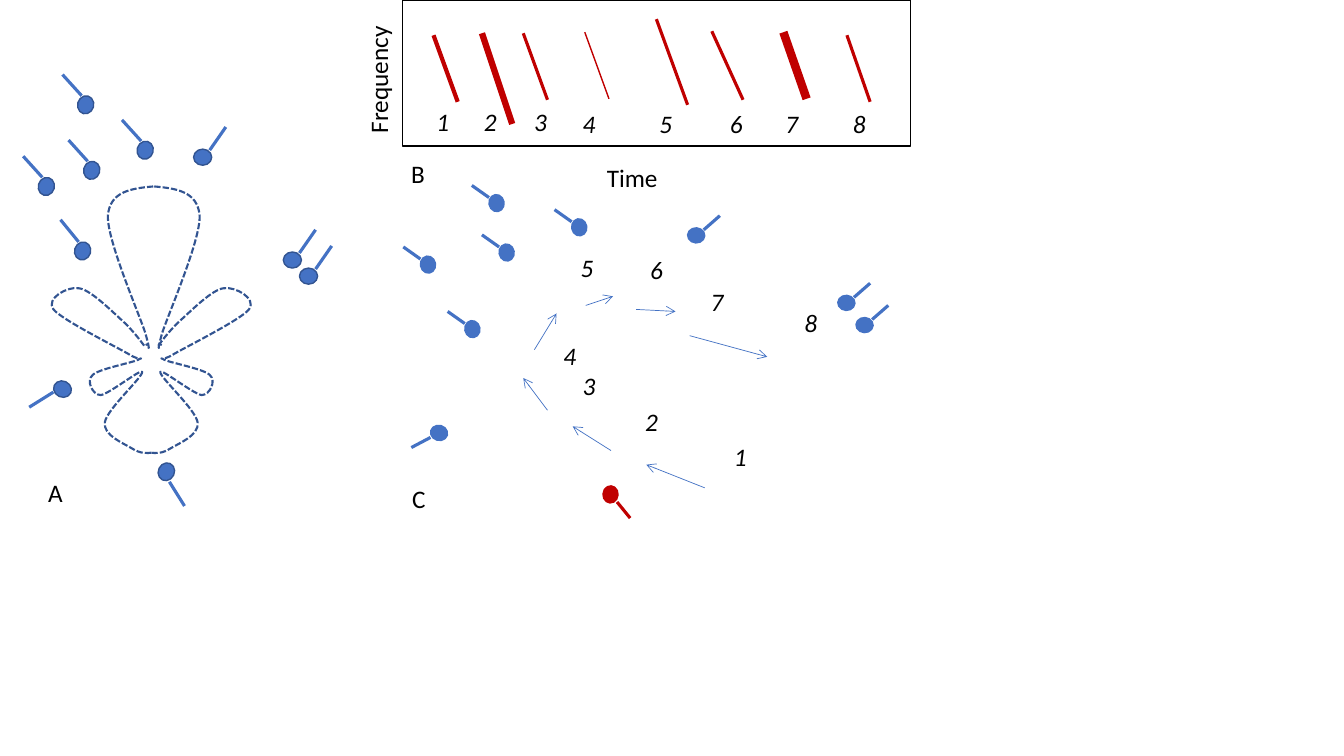
from dataclasses import dataclass

from lxml.etree import SubElement
from pptx import Presentation
from pptx.dml.color import RGBColor
from pptx.enum.dml import MSO_LINE
from pptx.enum.shapes import MSO_CONNECTOR, MSO_SHAPE
from pptx.enum.text import MSO_AUTO_SIZE, PP_ALIGN
from pptx.oxml.ns import qn
from pptx.util import Cm, Pt


@dataclass(frozen=True)
class Theme:
    """Colours, font and sizes used on the slide."""
    blue: RGBColor = RGBColor(0x44, 0x72, 0xC4)
    navy: RGBColor = RGBColor(0x32, 0x54, 0x91)
    red: RGBColor = RGBColor(0xC0, 0x00, 0x00)
    black: RGBColor = RGBColor(0x00, 0x00, 0x00)
    font: str = "Calibri"
    text_size: Pt = Pt(18)
    thin: float = 0.5
    outline: float = 1
    dash: float = 1.5
    stem: float = 2.25


@dataclass(frozen=True)
class Pose:
    """Rotation of a pin head, and stem ends relative to its corner."""
    rotation: float
    start: tuple
    end: tuple


THEME = Theme()
HEAD_A, HEAD_C = (0.18, 0.16), (0.17, 0.15)

PINS_A = [
    (Pose(0, (0.16, 0.01), (0.32, -0.22)), [(1.92, 1.48), (2.81, 2.5), (2.97, 2.66)]),
    (Pose(115.2, (0.12, 0.18), (0.27, 0.42)), [(1.56, 4.6)]),
    (Pose(204.4, (0, 0.11), (-0.24, 0.26)), [(0.53, 3.78)]),
    (Pose(286.7, (0.05, -0.01), (-0.13, -0.23)), [(0.73, 2.41)]),
    (Pose(285.2, (0.05, -0.01), (-0.14, -0.22)),
     [(0.76, 0.96), (0.82, 1.61), (1.35, 1.41), (0.37, 1.77)]),
]
PINS_C = [
    (Pose(196.1, (0, 0.12), (-0.19, 0.22)), [(4.27, 4.22)]),
    (Pose(260.3, (0.01, 0.02), (-0.16, -0.1)),
     [(4.6, 3.19), (4.16, 2.55), (4.94, 2.43), (4.84, 1.94), (5.66, 2.18)]),
    (Pose(3.5, (0.16, 0.02), (0.32, -0.12)), [(6.82, 2.26), (8.31, 2.93), (8.49, 3.15)]),
]
CALLER = (Pose(94, (0.15, 0.15), (0.28, 0.31)), [(5.97, 4.83)])

SWEEPS = [
    (4.3, 0.35, 4.54, 1.01, 3), (4.78, 0.33, 5.08, 1.23, 4.5),
    (5.19, 0.33, 5.43, 0.99, 2.25), (5.8, 0.32, 6.04, 0.98, 1),
    (6.51, 0.19, 6.82, 1.04, 2.25), (7.06, 0.31, 7.37, 0.99, 2.25),
    (7.77, 0.32, 8, 0.98, 6), (8.4, 0.35, 8.63, 1.01, 2.25),
]
ARROWS = [
    (6.99, 4.84, 6.41, 4.61), (6.06, 4.47, 5.68, 4.23), (5.43, 4.07, 5.19, 3.75),
    (5.3, 3.47, 5.52, 3.11), (5.81, 3.03, 6.08, 2.94), (6.31, 3.07, 6.7, 3.09),
    (6.84, 3.33, 7.61, 3.54),
]
SWEEP_NUMBERS = [(4.23, 1.01), (4.7, 1.01), (5.2, 1.01), (5.68, 1.03),
                 (6.44, 1.03), (7.14, 1.03), (7.69, 1.03), (8.36, 1.03)]
PATH_NUMBERS = [(7.18, 4.33), (6.3, 3.98), (5.68, 3.62), (5.49, 3.33),
                (5.66, 2.45), (6.35, 2.47), (6.95, 2.79), (7.88, 3)]

TOP_LOBE = [(1.52, 1.85), (1.3, 1.87), (1.09, 1.9), (1.07, 2.14), (1.06, 2.38),
            (1.37, 3.09), (1.44, 3.3), (1.5, 3.51), (1.47, 3.46), (1.45, 3.41)]
SIDE_LOBES = [
    (1.43, 3.43), (1.37, 3.35), (1.3, 3.26), (1.2, 3.17), (1.09, 3.07), (0.89, 2.87),
    (0.78, 2.86), (0.67, 2.84), (0.45, 2.96), (0.53, 3.07), (0.61, 3.17), (1.13, 3.43),
    (1.27, 3.51), (1.41, 3.6), (1.43, 3.53), (1.37, 3.57), (1.31, 3.6), (0.98, 3.66),
    (0.92, 3.72), (0.85, 3.78), (0.92, 3.92), (1, 3.92), (1.08, 3.91), (1.41, 3.65),
    (1.41, 3.69), (1.42, 3.74), (1.06, 4.06), (1.04, 4.19), (1.02, 4.32), (1.23, 4.4),
    (1.31, 4.45), (1.39, 4.5), (1.45, 4.5), (1.52, 4.49),
]


def length(inches):
    """Turn a layout measure in inches into a Cm length."""
    return Cm(inches * 2.54)


def style_line(line, colour, width):
    """Set the colour and the width in points of a line."""
    line.color.rgb = colour
    line.width = Pt(width)


def add_shape(slide, kind, box, line_colour, fill_colour=None, rotation=0):
    """Add an outlined preset shape, hollow unless a fill is given."""
    shape = slide.shapes.add_shape(kind, *map(length, box))
    shape.shadow.inherit = False
    shape.rotation = rotation
    style_line(shape.line, line_colour, THEME.outline)
    if fill_colour is None:
        shape.fill.background()
    else:
        shape.fill.solid()
        shape.fill.fore_color.rgb = fill_colour


def add_line(slide, ends, colour, width, arrow=False):
    """Add a straight line, with an open arrowhead at its end if asked."""
    connector = slide.shapes.add_connector(MSO_CONNECTOR.STRAIGHT, *map(length, ends))
    style_line(connector.line, colour, width)
    if arrow:
        SubElement(connector.line._get_or_add_ln(), qn("a:tailEnd"), type="arrow")
    SubElement(connector._element.spPr, qn("a:effectLst"))


def add_text(slide, text, box, italic=False, alignment=PP_ALIGN.LEFT, rotation=0):
    """Add a one-line label."""
    shape = slide.shapes.add_textbox(*map(length, box))
    shape.rotation = rotation
    frame = shape.text_frame
    frame.word_wrap = True
    frame.auto_size = MSO_AUTO_SIZE.SHAPE_TO_FIT_TEXT
    paragraph = frame.paragraphs[0]
    paragraph.text = text
    paragraph.alignment = alignment
    paragraph.font.name = THEME.font
    paragraph.font.size = THEME.text_size
    paragraph.font.italic = italic
    paragraph.font.color.rgb = THEME.black


def add_numbers(slide, places):
    """Add italic numbers counted from one at the given places."""
    for number, (left, top) in enumerate(places, start=1):
        add_text(slide, str(number), (left, top, 0.31, 0.4), italic=True)


def add_pins(slide, pins, head, colour, outline):
    """Add pins, each a round head with a stem, in their poses."""
    for pose, places in pins:
        for left, top in places:
            add_shape(slide, MSO_SHAPE.OVAL, (left, top, *head), outline, colour, pose.rotation)
            ends = [origin + offset for origin, offset
                    in zip((left, top) * 2, pose.start + pose.end)]
            add_line(slide, ends, colour, THEME.stem)


def bend_segments(shape, points):
    """Turn the straight segments of a freeform into cubic curves."""
    segments = list(shape._element.iter(qn("a:lnTo")))
    for index, segment in enumerate(segments):
        segment.tag = qn("a:cubicBezTo")
        segment.clear()
        for x, y in points[3 * index + 1:3 * index + 4]:
            SubElement(segment, qn("a:pt"), x=str(x - shape.left), y=str(y - shape.top))


def add_lobe(slide, nodes):
    """Add a dashed open curve, with two control points between nodes."""
    points = [(length(x), length(y)) for x, y in nodes]
    builder = slide.shapes.build_freeform(*points[0])
    builder.add_line_segments(points[3::3], close=False)
    shape = builder.convert_to_shape()
    bend_segments(shape, points)
    shape.shadow.inherit = False
    shape.fill.background()
    style_line(shape.line, THEME.navy, THEME.dash)
    shape.line.dash_style = MSO_LINE.SQUARE_DOT


def draw_beam(slide):
    """Draw panel A: the beam pattern among the pins."""
    for nodes, mirror_sum in ((TOP_LOBE, 3.05), (SIDE_LOBES, 3)):
        add_lobe(slide, nodes)
        add_lobe(slide, [(mirror_sum - x, y) for x, y in nodes])
    add_pins(slide, PINS_A, HEAD_A, THEME.blue, THEME.navy)
    add_text(slide, "A", (0.38, 4.69, 0.48, 0.4))


def draw_spectrogram(slide):
    """Draw panel B: the numbered sweeps over time."""
    add_shape(slide, MSO_SHAPE.RECTANGLE, (3.99, 0, 5.04, 1.45), THEME.black)
    add_text(slide, "Frequency", (3.01, 0.59, 1.48, 0.4),
             alignment=PP_ALIGN.CENTER, rotation=270)
    add_text(slide, "Time", (5.53, 1.56, 1.48, 0.4), alignment=PP_ALIGN.CENTER)
    for *ends, width in SWEEPS:
        add_line(slide, ends, THEME.red, width)
    add_numbers(slide, SWEEP_NUMBERS)
    add_text(slide, "B", (3.98, 1.52, 0.83, 0.4))


def draw_path(slide):
    """Draw panel C: the numbered path among the pins."""
    add_pins(slide, [CALLER], HEAD_C, THEME.red, THEME.red)
    for ends in ARROWS:
        add_line(slide, ends, THEME.blue, THEME.thin, arrow=True)
    add_numbers(slide, PATH_NUMBERS)
    add_pins(slide, PINS_C, HEAD_C, THEME.blue, THEME.blue)
    add_text(slide, "C", (3.99, 4.75, 0.83, 0.4))


def main():
    """Build and save the slide."""
    presentation = Presentation()
    presentation.slide_width, presentation.slide_height = length(13.33), length(7.5)
    slide = presentation.slides.add_slide(presentation.slide_layouts[6])
    draw_beam(slide)
    draw_spectrogram(slide)
    draw_path(slide)
    presentation.save("out.pptx")


if __name__ == "__main__":
    main()
